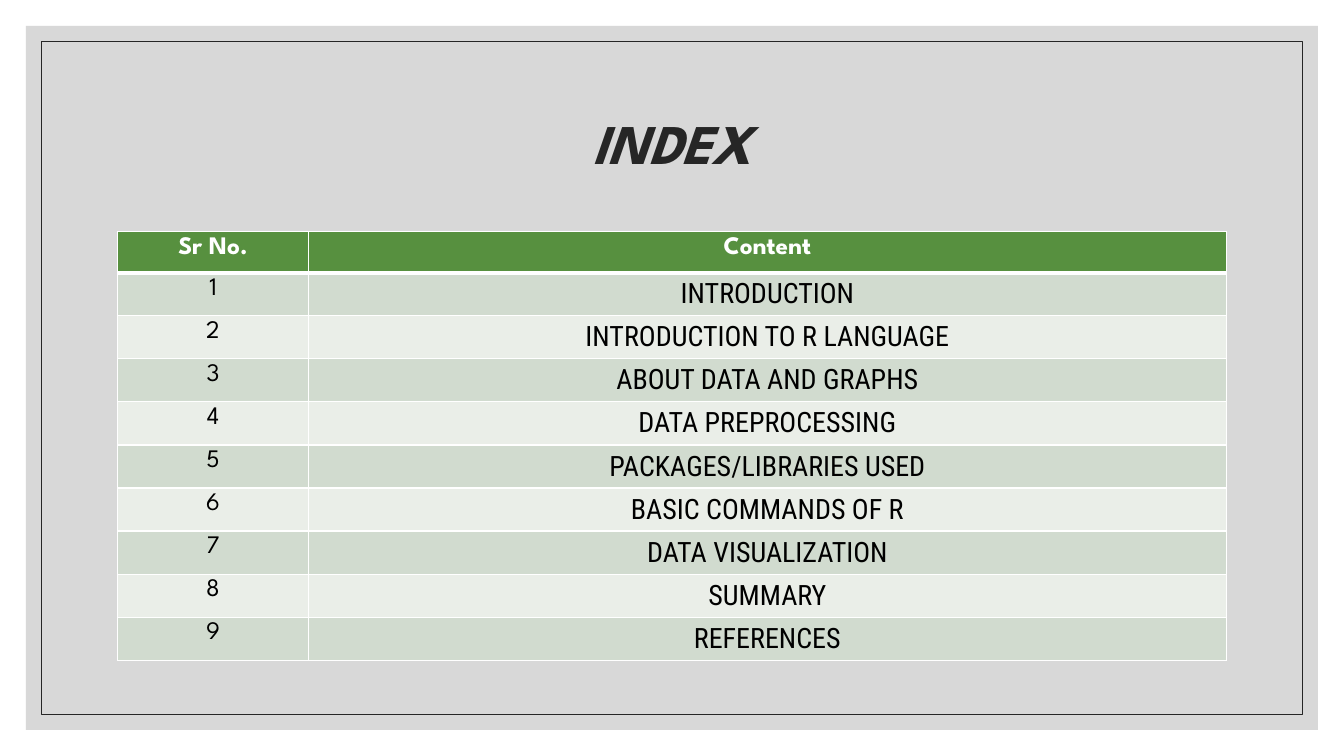
from lxml import etree
from pptx import Presentation
from pptx.dml.color import RGBColor
from pptx.enum import shapes, text
from pptx.oxml import ns
from pptx.util import Pt

WHITE = RGBColor(0xFF, 0xFF, 0xFF)
BLACK = RGBColor(0, 0, 0)
DARK = RGBColor(0x26, 0x26, 0x26)
GREY = RGBColor(0xBF, 0xBF, 0xBF)
GREEN = RGBColor(0x57, 0x90, 0x3F)
BANDS = [RGBColor(0xD1, 0xDB, 0xCF), RGBColor(0xEA, 0xEE, 0xE8)]

HEAD = "League Spartan"
BODY = "Roboto Condensed"
TOPICS = [
    "INTRODUCTION",
    "INTRODUCTION TO R LANGUAGE",
    "ABOUT DATA AND GRAPHS",
    "DATA PREPROCESSING",
    "PACKAGES/LIBRARIES USED",
    "BASIC COMMANDS OF R",
    "DATA VISUALIZATION",
    "SUMMARY",
    "REFERENCES",
]


def write(frame, words, font, size, color, bold=False, italic=False):
    frame.text = words
    par = frame.paragraphs[0]
    par.alignment = text.PP_ALIGN.CENTER
    face = par.runs[0].font
    face.name, face.size = font, Pt(size)
    face.bold, face.italic = bold, italic
    face.color.rgb = color
    return par


def add_box(slide, inset):
    """Add a plain rectangle at an equal inset from all slide edges."""
    box = slide.shapes.add_shape(
        shapes.MSO_SHAPE.RECTANGLE,
        Pt(inset), Pt(inset), Pt(960 - 2 * inset), Pt(540 - 2 * inset))
    box.shadow.inherit = False
    return box


def add_frame(slide):
    panel = add_box(slide, 18.6)
    panel.line.fill.background()
    panel.fill.solid()
    panel.fill.fore_color.rgb = GREY
    tint = panel.fill._xPr.find(".//" + ns.qn("a:srgbClr"))
    etree.SubElement(tint, ns.qn("a:alpha"), val="60000")

    rim = add_box(slide, 29.4)
    rim.fill.background()
    rim.line.color.rgb = DARK
    rim.line.width = Pt(0.5)


def set_title(slide, words):
    title = slide.shapes.title
    title.left, title.top = Pt(84), Pt(50.4)
    title.width, title.height = Pt(792), Pt(108)
    frame = title.text_frame
    frame.auto_size = text.MSO_AUTO_SIZE.NONE
    frame.vertical_anchor = text.MSO_ANCHOR.MIDDLE
    par = write(frame, words, HEAD, 40, DARK, bold=True, italic=True)
    par.line_spacing = 0.9
    # Bring the title in front of the panel
    slide.shapes._spTree.append(title._element)


def set_edges(cell, widths):
    """Draw white cell borders; they must come before the fill."""
    props = cell._tc.get_or_add_tcPr()
    for spot, (side, width) in enumerate(widths.items()):
        edge = etree.Element(ns.qn("a:ln" + side), w=str(Pt(width)))
        fill = etree.SubElement(edge, ns.qn("a:solidFill"))
        etree.SubElement(fill, ns.qn("a:srgbClr"), val=str(WHITE))
        props.insert(spot, edge)


def add_index(slide, topics):
    rows = [("Sr No.", "Content")]
    rows += [(str(num), topic) for num, topic in enumerate(topics, 1)]
    high = 29.2
    table = slide.shapes.add_table(
        len(rows), 2, Pt(84), Pt(165.6), Pt(792), Pt(high * len(rows))).table
    for col, wide in zip(table.columns, (136.4, 655.6)):
        col.width = Pt(wide)

    for r, row in enumerate(rows):
        table.rows[r].height = Pt(high)
        for c, words in enumerate(row):
            cell = table.cell(r, c)
            cell.fill.solid()
            cell.fill.fore_color.rgb = BANDS[(r - 1) % 2] if r else GREEN
            set_edges(cell, {"L": 1, "R": 1, "T": 3 if r == 1 else 1,
                             "B": 1 if r else 3})
            font, size = (BODY, 20) if r and c else (HEAD, 18)
            write(cell.text_frame, words, font, size,
                  BLACK if r else WHITE, bold=r == 0)


def main():
    deck = Presentation()
    deck.slide_width, deck.slide_height = Pt(960), Pt(540)
    slide = deck.slides.add_slide(deck.slide_layouts[5])
    add_frame(slide)
    set_title(slide, "INDEX")
    add_index(slide, TOPICS)
    deck.save("out.pptx")


if __name__ == "__main__":
    main()
